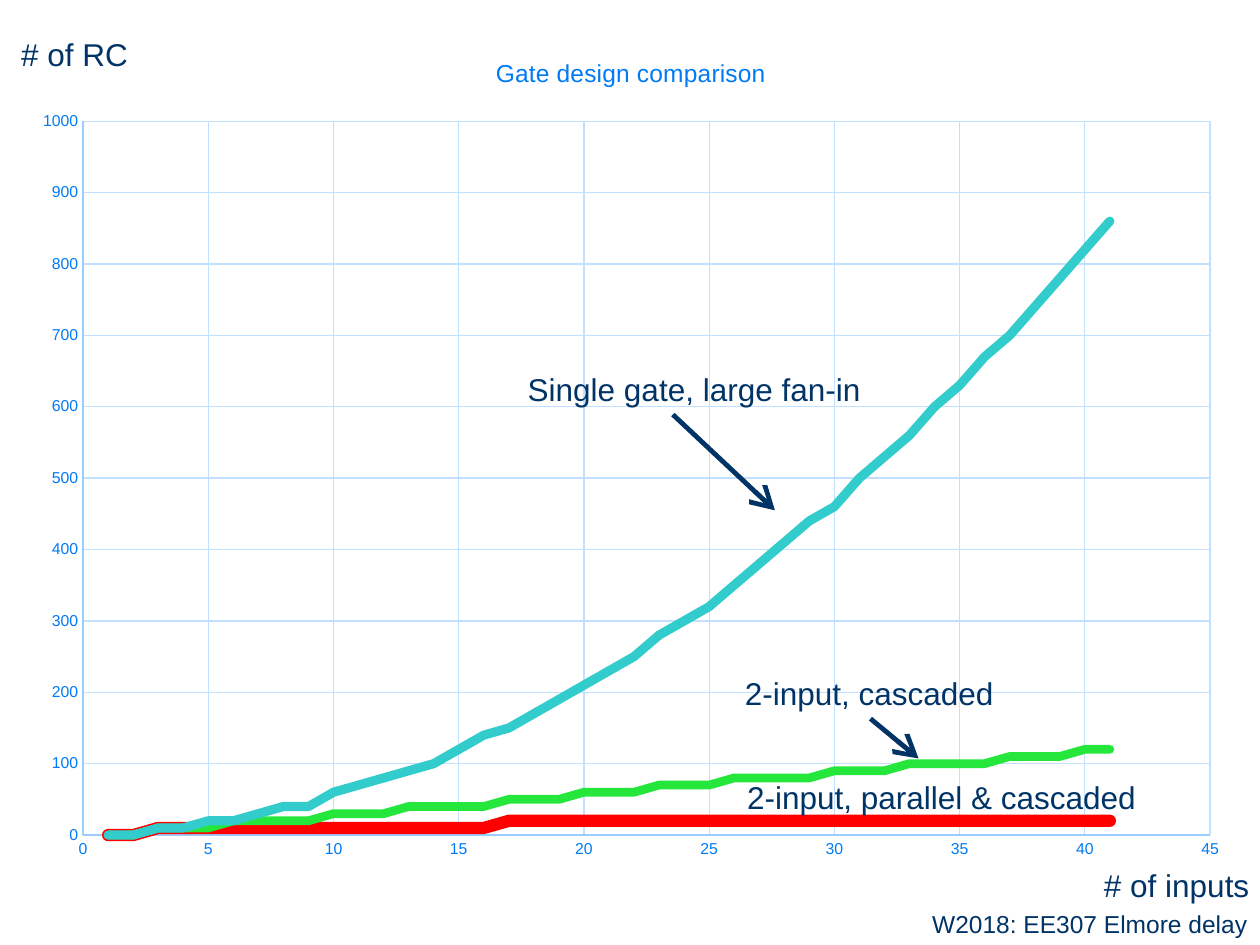
from dataclasses import dataclass

from lxml.etree import SubElement
from pptx import Presentation
from pptx.chart.data import XyChartData
from pptx.dml.color import RGBColor
from pptx.enum.chart import XL_CHART_TYPE, XL_TICK_MARK
from pptx.enum.shapes import MSO_CONNECTOR
from pptx.enum.text import MSO_AUTO_SIZE, PP_ALIGN
from pptx.oxml.ns import qn
from pptx.util import Pt


@dataclass(frozen=True)
class Theme:
    font: str = "Arial"
    ink: str = "003366"
    chart_text: str = "007AF5"
    axis: str = "99CCFF"
    grid: str = "C2E0FF"
    single: str = "33CCCC"
    cascaded: str = "24E63B"
    parallel: str = "FF0000"
    label_size: float = 18
    footer_size: float = 14
    title_size: float = 14
    tick_size: float = 9


def apply(target, formats):
    for name, value in formats.items():
        setattr(target, name, value)


def place_inside(chart_part, fractions, inner=False):
    """Give a plot area or title a fixed place, as fractions of the chart."""
    layout = chart_part.find(qn("c:layout"))
    if layout is None:
        layout = SubElement(chart_part, qn("c:layout"))
        chart_part.find(qn("c:tx")).addnext(layout)
    manual = SubElement(layout, qn("c:manualLayout"))
    if inner:
        SubElement(manual, qn("c:layoutTarget")).set("val", "inner")
    for side in ("x", "y"):
        SubElement(manual, qn(f"c:{side}Mode")).set("val", "edge")
    for side, fraction in zip("xywh", fractions):
        SubElement(manual, qn(f"c:{side}")).set("val", str(fraction))


class SlideBuilder:
    def __init__(self, slide, theme):
        self.slide = slide
        self.theme = theme

    def style_font(self, font, size, color):
        apply(font, {"name": self.theme.font, "size": Pt(size), "bold": False})
        font.color.rgb = RGBColor.from_string(color)

    def style_line(self, line, color, width):
        line.color.rgb = RGBColor.from_string(color)
        line.width = Pt(width)

    def text(self, wording, box, size, wrap=False, align=PP_ALIGN.LEFT):
        label = self.slide.shapes.add_textbox(*map(Pt, box))
        fit = MSO_AUTO_SIZE.NONE if wrap else MSO_AUTO_SIZE.SHAPE_TO_FIT_TEXT
        apply(label.text_frame, {"word_wrap": wrap, "auto_size": fit})
        paragraph = label.text_frame.paragraphs[0]
        paragraph.alignment = align
        run = paragraph.add_run()
        run.text = wording
        self.style_font(run.font, size, self.theme.ink)
        return label

    def arrow(self, start, end, source=None):
        """Draw an arrow; a source label is joined at its bottom middle."""
        pointer = self.slide.shapes.add_connector(
            MSO_CONNECTOR.STRAIGHT, *map(Pt, start + end))
        if source is not None:
            pointer.begin_connect(source, 2)
        self.style_line(pointer.line, self.theme.ink, 2.75)
        properties = pointer.element.spPr
        head = SubElement(properties.find(qn("a:ln")), qn("a:tailEnd"))
        for name, value in {"type": "arrow", "w": "lg", "len": "lg"}.items():
            head.set(name, value)
        SubElement(properties, qn("a:effectLst"))

    def scatter(self, title, curves, inputs, box, plot_box, title_at):
        data = XyChartData()
        for name, delay, _, _ in curves:
            points = data.add_series(name)
            for n in inputs:
                points.add_data_point(n, round(delay(n), -1))
        chart = self.slide.shapes.add_chart(
            XL_CHART_TYPE.XY_SCATTER_SMOOTH_NO_MARKERS, *map(Pt, box), data).chart
        chart.has_legend = False
        chart.plots[0].vary_by_categories = False
        self.style_font(chart.font, 10, self.theme.ink)

        heading = chart.chart_title.text_frame
        heading.text = title
        self.style_font(heading.paragraphs[0].runs[0].font,
                        self.theme.title_size, self.theme.chart_text)
        chart.chart_title.include_in_layout = False

        left, top, width, height = box
        title_place = [(title_at[0] - left) / width, (title_at[1] - top) / height]
        plot_place = [(plot_box[0] - left) / width, (plot_box[1] - top) / height,
                      plot_box[2] / width, plot_box[3] / height]
        place_inside(chart.element.find(".//" + qn("c:title")), title_place)
        plot_area = chart.element.find(".//" + qn("c:plotArea"))
        if plot_area.find(qn("c:layout")) is None:
            plot_area.insert(0, plot_area.makeelement(qn("c:layout")))
        place_inside(plot_area, plot_place, inner=True)

        for axis, top_value, step in ((chart.category_axis, 45, 5),
                                      (chart.value_axis, 1000, 100)):
            apply(axis, {
                "minimum_scale": 0, "maximum_scale": top_value, "major_unit": step,
                "has_major_gridlines": True, "has_minor_gridlines": False,
                "major_tick_mark": XL_TICK_MARK.NONE,
                "minor_tick_mark": XL_TICK_MARK.NONE})
            self.style_font(axis.tick_labels.font,
                            self.theme.tick_size, self.theme.chart_text)
            self.style_line(axis.format.line, self.theme.axis, 0.75)
            self.style_line(axis.major_gridlines.format.line, self.theme.grid, 0.75)

        for series, (_, _, color, width) in zip(chart.plots[0].series, curves):
            series.smooth = True
            self.style_line(series.format.line, color, width)
        for outline in chart.element.iterfind(
                f".//{qn('c:ser')}/{qn('c:spPr')}/{qn('a:ln')}"):
            outline.set("cap", "rnd")


def main():
    theme = Theme()
    deck = Presentation()
    apply(deck, {"slide_width": Pt(720), "slide_height": Pt(540)})
    page = SlideBuilder(deck.slides.add_slide(deck.slide_layouts[6]), theme)

    single, cascaded, parallel = (
        "Single gate, large fan-in", "2-input, cascaded", "2-input, parallel & cascaded")
    # Number of RC terms for n inputs; a balanced tree has ceil(log2(n)) levels.
    curves = [
        (single, lambda n: n * (n + 1) // 2, theme.single, 5.25),
        (cascaded, lambda n: 3 * (n - 1), theme.cascaded, 5),
        (parallel, lambda n: 3 * (n - 1).bit_length(), theme.parallel, 7),
    ]

    page.text("W2018: EE307 Elmore delay", (281.5, 515.9, 438.5, 37.4),
              theme.footer_size, wrap=True, align=PP_ALIGN.RIGHT)
    page.scatter("Gate design comparison", curves, range(1, 42),
                 box=(10.8, 16.6, 699.8, 483.8),
                 plot_box=(47.5, 69.3, 644, 408), title_at=(280.8, 30))

    labels = {
        wording: page.text(wording, (left, top, width, 28.8), theme.label_size)
        for wording, left, top, width in (
            (single, 294.5, 208.1, 206.6),
            (cascaded, 418.6, 381.9, 157.7),
            (parallel, 419.8, 440.9, 239),
            ("# of RC", 5, 16.6, 76.3),
            ("# of inputs", 623.8, 491.5, 98.6))
    }
    page.arrow((384.5, 236.9), (442.8, 291.6))
    page.arrow((497.5, 410.7), (524.9, 433.4), source=labels[cascaded])

    deck.save("out.pptx")


if __name__ == "__main__":
    main()
